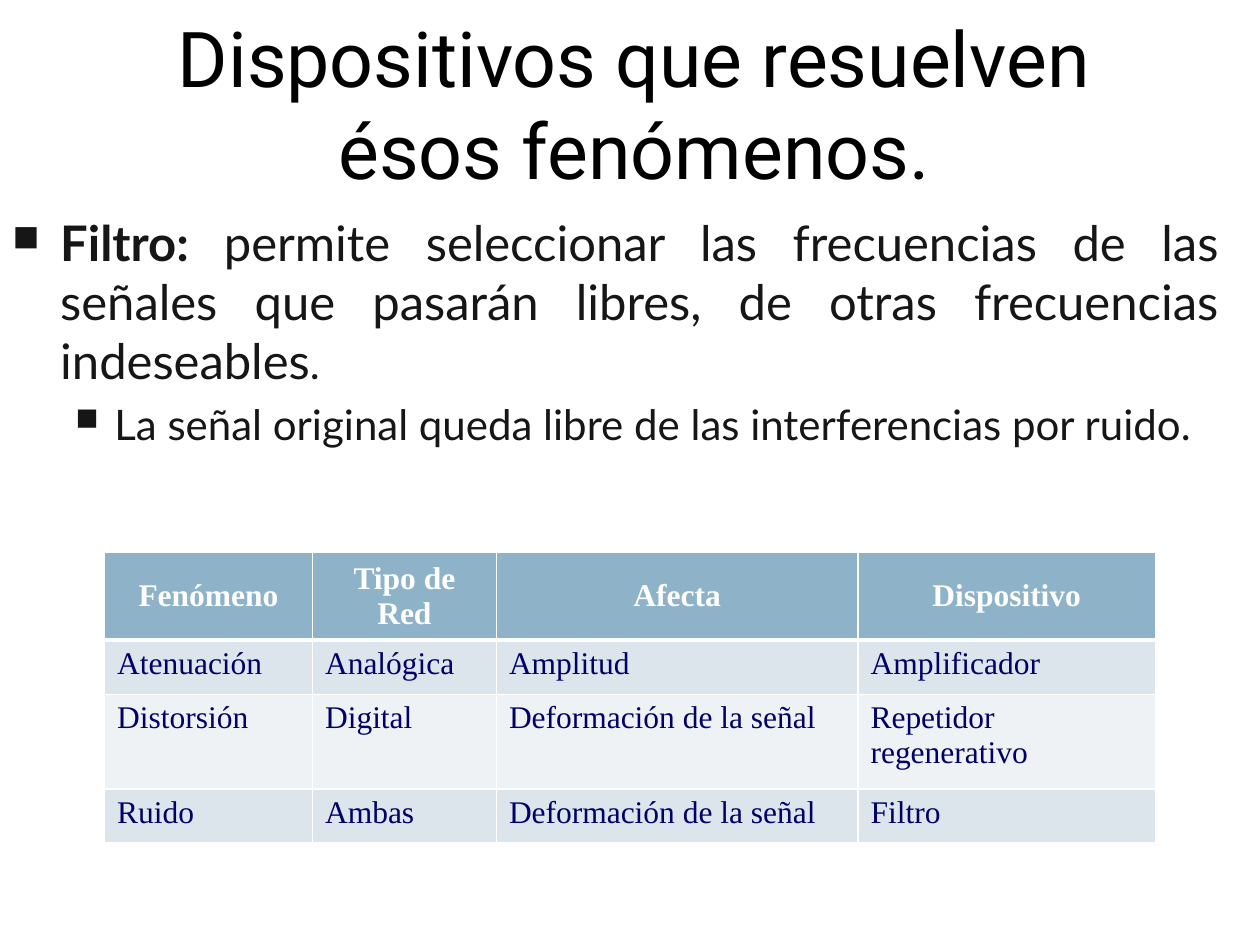
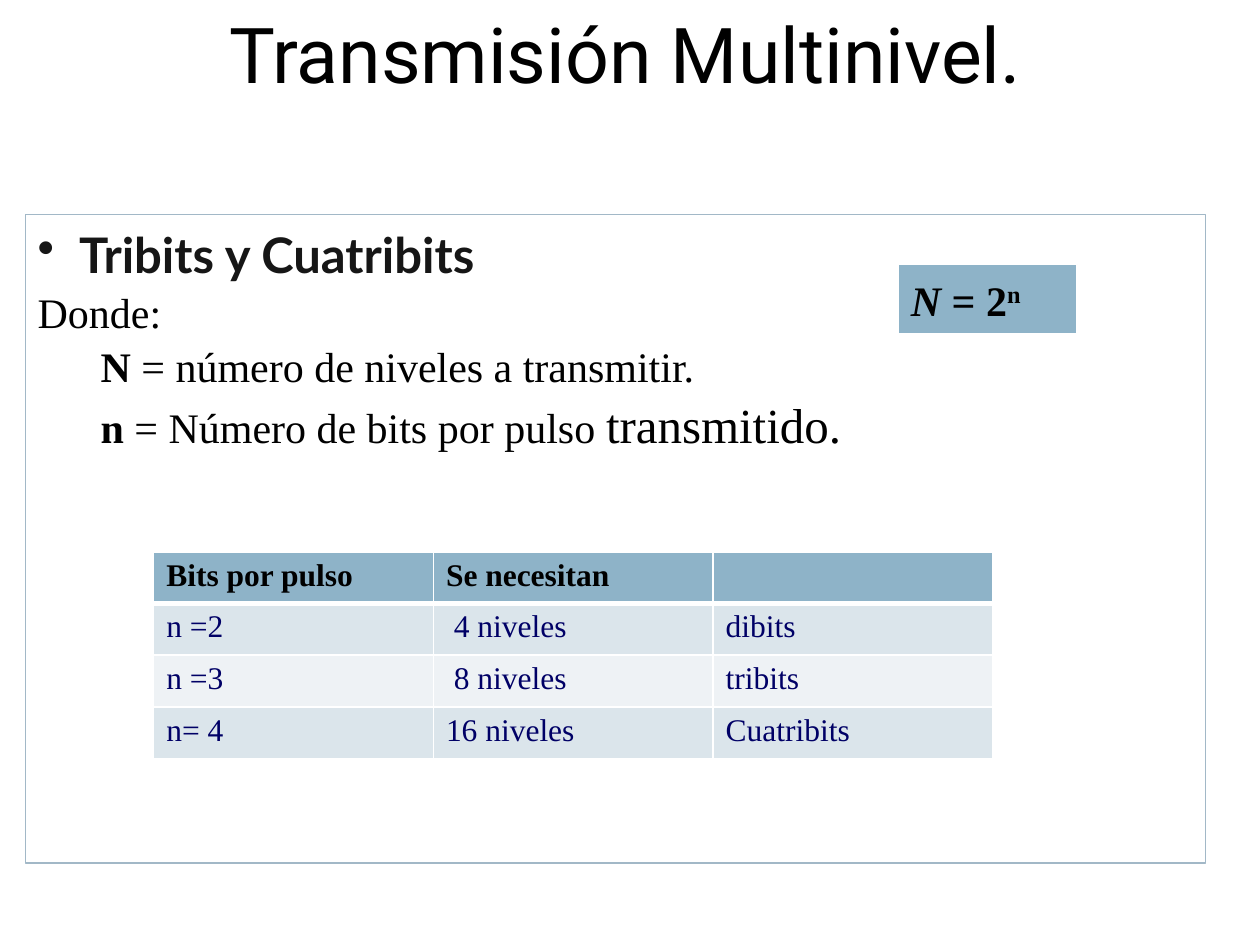
from lxml.etree import SubElement
from pptx import Presentation
from pptx.dml.color import RGBColor
from pptx.enum.shapes import MSO_SHAPE
from pptx.enum.text import MSO_ANCHOR, PP_ALIGN
from pptx.oxml.ns import qn
from pptx.util import Inches, Pt

WHITE = RGBColor(0xFF, 0xFF, 0xFF)
BLACK = RGBColor(0, 0, 0)
INK = RGBColor(0x16, 0x16, 0x16)
NAVY = RGBColor(0, 0, 0x66)
STEEL = RGBColor(0x8E, 0xB3, 0xC8)
OUTLINE = RGBColor(0xA2, 0xB8, 0xC7)
BANDS = (RGBColor(0xDB, 0xE5, 0xEB), RGBColor(0xEE, 0xF2, 0xF5))

TITLE_FONT, BODY_FONT, SERIF = "Roboto", "Lato", "Times New Roman"


def style(font, name, size, color, bold=False):
    font.name, font.size, font.bold = name, Pt(size), bold
    font.color.rgb = color


def add_runs(paragraph, *texts):
    runs = [paragraph.add_run() for _ in texts]
    for run, text in zip(runs, texts):
        run.text = text
    return runs


def indent(paragraph, left, hanging=0):
    properties = paragraph._p.get_or_add_pPr()
    properties.set("marL", str(Inches(left)))
    properties.set("indent", str(Inches(-hanging)))
    return properties


def add_bullet(paragraph, char, left, hanging, percent=100):
    properties = indent(paragraph, left, hanging)
    SubElement(properties, qn("a:buSzPct"), val=str(percent * 1000))
    SubElement(properties, qn("a:buChar"), char=char)


def add_text_frame(slide, box, anchor=MSO_ANCHOR.TOP):
    frame = slide.shapes.add_textbox(*map(Inches, box)).text_frame
    frame.word_wrap = True
    frame.vertical_anchor = anchor
    return frame


def add_title(slide, box, text, anchor=MSO_ANCHOR.TOP):
    title = add_text_frame(slide, box, anchor).paragraphs[0]
    title.text = text
    title.alignment = PP_ALIGN.CENTER
    style(title.font, TITLE_FONT, 44, BLACK)


def add_rectangle(slide, box, line_color, line_width):
    rectangle = slide.shapes.add_shape(MSO_SHAPE.RECTANGLE, *map(Inches, box))
    rectangle.shadow.inherit = False
    rectangle.line.color.rgb = line_color
    rectangle.line.width = Pt(line_width)
    rectangle.text_frame.word_wrap = True
    return rectangle


def add_borders(cell, row):
    """White rules, with a heavy one between the header and the first row."""
    properties = cell._tc.get_or_add_tcPr()
    widths = {"L": 1, "R": 1, "T": 3 if row == 1 else 1, "B": 3 if row == 0 else 1}
    for side, width in widths.items():
        line = SubElement(properties, qn(f"a:ln{side}"), w=str(Pt(width)))
        fill = SubElement(line, qn("a:solidFill"))
        SubElement(fill, qn("a:srgbClr"), val=str(WHITE))


def add_banded_table(slide, left, top, widths, heights, rows, header_color, centred=False):
    box = map(Inches, (left, top, sum(widths), sum(heights)))
    table = slide.shapes.add_table(len(rows), len(widths), *box).table
    for column, width in zip(table.columns, widths):
        column.width = Inches(width)
    for r, (texts, height) in enumerate(zip(rows, heights)):
        table.rows[r].height = Inches(height)
        header = r == 0
        for c, text in enumerate(texts):
            cell = table.cell(r, c)
            add_borders(cell, r)
            cell.fill.solid()
            cell.fill.fore_color.rgb = STEEL if header else BANDS[(r - 1) % 2]
            paragraph = cell.text_frame.paragraphs[0]
            paragraph.text = text
            if header and centred:
                cell.vertical_anchor = MSO_ANCHOR.MIDDLE
                paragraph.alignment = PP_ALIGN.CENTER
            style(paragraph.font, SERIF, 18, header_color if header else NAVY, header)


def add_filter_text(slide, box):
    frame = add_text_frame(slide, box)
    definition, benefit = frame.paragraphs[0], frame.add_paragraph()
    add_bullet(definition, "■", 0.38, 0.38, 75)
    term, _, stop = add_runs(
        definition,
        "Filtro: ",
        "permite seleccionar las frecuencias de las señales que pasarán libres, "
        "de otras frecuencias indeseables",
        ".",
    )
    term.font.bold = True
    stop.font.size = Pt(24)

    benefit.level = 1
    add_bullet(benefit, "■", 0.81, 0.31, 75)
    benefit.text = "La señal original queda libre de las interferencias por ruido."
    benefit.space_before = Pt(5)
    for paragraph, size in ((definition, 28), (benefit, 24)):
        paragraph.alignment = PP_ALIGN.JUSTIFY
        style(paragraph.font, BODY_FONT, size, INK)


def add_levels_panel(slide, box):
    panel = add_rectangle(slide, box, OUTLINE, 0.75)
    panel.fill.background()
    frame = panel.text_frame
    frame.vertical_anchor = MSO_ANCHOR.TOP
    frame.margin_top = Inches(0.08)

    heading = frame.paragraphs[0]
    add_bullet(heading, "•", 0.33, 0.33)
    heading.text = "Tribits y Cuatribits"
    heading.alignment = PP_ALIGN.LEFT
    style(heading.font, BODY_FONT, 28, INK, True)

    legend = (
        (0, ("Donde:",)),
        (0.5, ("N ", "= número de niveles a transmitir.")),
        (0.5, ("n", " = Número de bits por pulso ", "transmitido.")),
    )
    for left, texts in legend:
        paragraph = frame.add_paragraph()
        indent(paragraph, left)
        paragraph.alignment = PP_ALIGN.LEFT
        paragraph.space_before = Pt(2)
        style(paragraph.font, SERIF, 24, BLACK)
        runs = add_runs(paragraph, *texts)
        runs[0].font.bold = len(runs) > 1
    runs[-1].font.size = Pt(28)


def add_formula(slide, box):
    formula = add_rectangle(slide, box, WHITE, 1)
    formula.fill.solid()
    formula.fill.fore_color.rgb = STEEL
    paragraph = formula.text_frame.paragraphs[0]
    paragraph.alignment = PP_ALIGN.LEFT
    style(paragraph.font, SERIF, 24, BLACK, True)
    levels, _, exponent = add_runs(paragraph, "N ", "= 2", "n")
    levels.font.italic = True
    exponent._r.get_or_add_rPr().set("baseline", "30000")


def build_devices_slide(slide):
    add_filter_text(slide, (0, 1.64, 9.77, 2.58))
    add_title(slide, (0.7, 0.23, 8.67, 1.17),
              "Dispositivos que resuelven ésos fenómenos.", MSO_ANCHOR.MIDDLE)
    rows = (
        ("Fenómeno", "Tipo de Red", "Afecta", "Dispositivo"),
        ("Atenuación", "Analógica", "Amplitud", "Amplificador"),
        ("Distorsión", "Digital", "Deformación de la señal", "Repetidor regenerativo"),
        ("Ruido", "Ambas", "Deformación de la señal", "Filtro"),
    )
    add_banded_table(slide, 0.83, 4.38, (1.65, 1.46, 2.87, 2.36),
                     (0.7, 0.43, 0.75, 0.43), rows, WHITE, centred=True)


def build_multilevel_slide(slide):
    add_title(slide, (0.83, 0, 8.27, 0.84), "Transmisión Multinivel.")
    add_levels_panel(slide, (0.2, 1.7, 9.37, 5.15))
    add_formula(slide, (7.13, 2.1, 1.42, 0.55))
    rows = (
        ("Bits por pulso", "Se necesitan", ""),
        ("n =2", " 4 niveles", "dibits"),
        ("n =3", " 8 niveles", "tribits"),
        ("n= 4", "16 niveles", "Cuatribits"),
    )
    add_banded_table(slide, 1.22, 4.38, [2.22] * 3, [0.41] * 4, rows, BLACK)


def main():
    deck = Presentation()
    deck.slide_width, deck.slide_height = Inches(10), Inches(7.5)
    for build in (build_devices_slide, build_multilevel_slide):
        build(deck.slides.add_slide(deck.slide_layouts[6]))
    deck.save("out.pptx")


if __name__ == "__main__":
    main()
